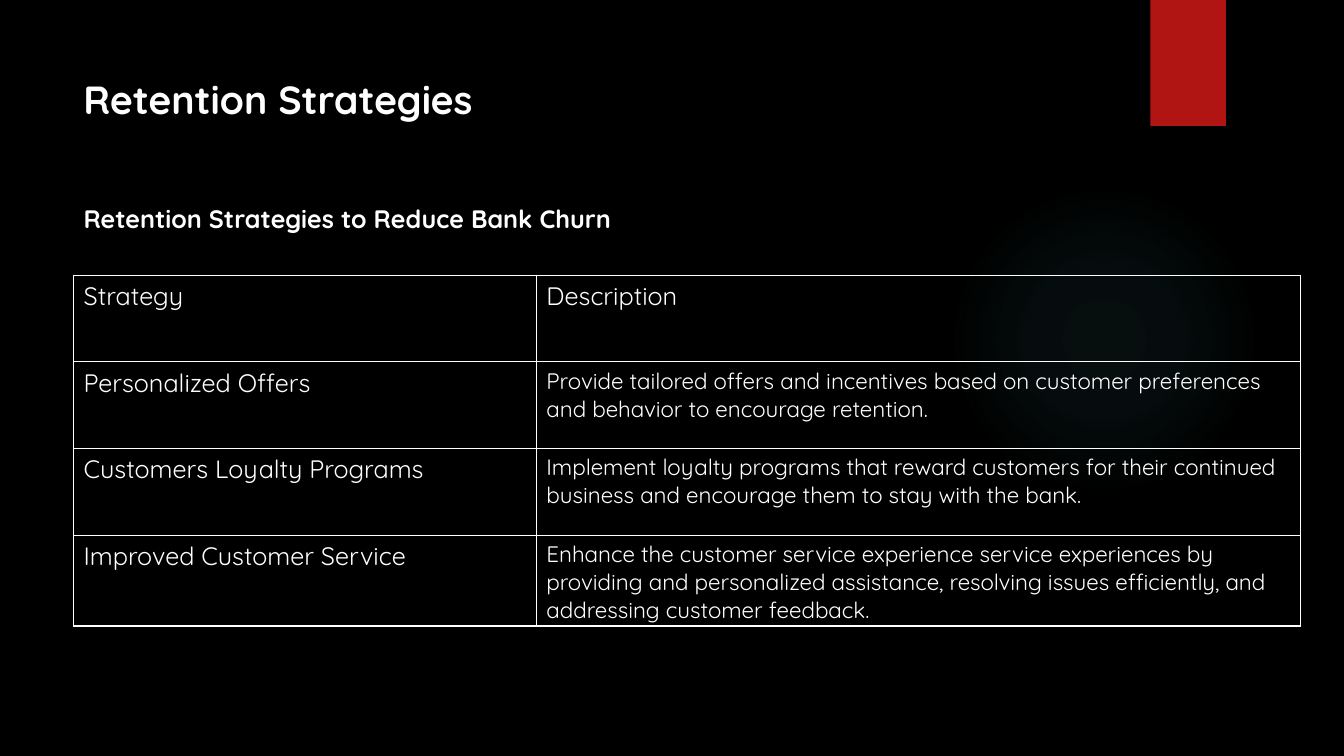
"""Build the Retention Strategies slide."""
from lxml.etree import SubElement
from pptx import Presentation
from pptx.dml.color import RGBColor
from pptx.enum.shapes import MSO_SHAPE
from pptx.oxml import parse_xml
from pptx.oxml.ns import nsdecls, qn
from pptx.util import Inches, Pt

FONT = "Quicksand"
COLORS = {"background": "000000", "text": "FFFFFF", "ribbon": "B01513", "glow": "50B9C1"}
HEADINGS = [
    ("Retention Strategies", 28, (0.73, 0.7, 11.43, 0.57)),
    ("Retention Strategies to Reduce Bank Churn", 18, (0.73, 1.97, 6.22, 0.4)),
]
STRATEGIES = [
    ("Strategy", "Description"),
    ("Personalized Offers",
     "Provide tailored offers and incentives based on customer preferences "
     "and behavior to encourage retention."),
    ("Customers Loyalty Programs",
     "Implement loyalty programs that reward customers for their continued "
     "business and encourage them to stay with the bank."),
    ("Improved Customer Service",
     "Enhance the customer service experience service experiences by "
     "providing and personalized assistance, resolving issues efficiently, and "
     "addressing customer feedback."),
]
COLUMN_WIDTHS = [4.59, 7.58]
ROW_HEIGHT = 0.86
GLOW_STOPS = [(0, 7), (36, 6), (69, 0)]


def color(name):
    return RGBColor.from_string(COLORS[name])


def style_text(text_frame, text, size, bold=False):
    text_frame.text = text
    paragraph = text_frame.paragraphs[0]
    paragraph.font.name = FONT
    paragraph.font.size = Pt(size)
    paragraph.font.bold = bold
    paragraph.font.color.rgb = color("text")


def add_plain_shape(slide, kind, box):
    shape = slide.shapes.add_shape(kind, *map(Inches, box))
    shape.shadow.inherit = False
    shape.line.fill.background()
    return shape


def add_glow(slide):
    glow = add_plain_shape(slide, MSO_SHAPE.OVAL, (9.41, 1.83, 3.08, 3.08))
    glow.fill.background()
    stops = "".join(
        f'<a:gs pos="{position * 1000}"><a:srgbClr val="{COLORS["glow"]}">'
        f'<a:alpha val="{alpha * 1000}"/></a:srgbClr></a:gs>'
        for position, alpha in GLOW_STOPS
    )
    gradient = parse_xml(
        f'<a:gradFill {nsdecls("a")}><a:gsLst>{stops}</a:gsLst><a:path path="circle">'
        '<a:fillToRect l="50000" t="50000" r="50000" b="50000"/></a:path></a:gradFill>'
    )
    properties = glow._element.spPr
    properties.replace(properties.find(qn("a:noFill")), gradient)


def add_borders(cell):
    properties = cell._tc.get_or_add_tcPr()
    for index, side in enumerate(("lnL", "lnR", "lnT", "lnB")):
        line = parse_xml(f'<a:{side} {nsdecls("a")} w="{Pt(1)}"/>')
        fill = SubElement(line, qn("a:solidFill"))
        SubElement(fill, qn("a:srgbClr"), val=COLORS["text"])
        properties.insert(index, line)


def add_strategy_table(slide):
    height = ROW_HEIGHT * len(STRATEGIES)
    frame = slide.shapes.add_table(
        len(STRATEGIES), len(COLUMN_WIDTHS),
        Inches(0.73), Inches(2.73), Inches(sum(COLUMN_WIDTHS)), Inches(height))
    table = frame.table
    table.first_row = False
    table.horz_banding = False
    for column, width in zip(table.columns, COLUMN_WIDTHS):
        column.width = Inches(width)
    for row_index, texts in enumerate(STRATEGIES):
        table.rows[row_index].height = Inches(ROW_HEIGHT)
        for column_index, text in enumerate(texts):
            cell = table.cell(row_index, column_index)
            cell.fill.background()
            style_text(cell.text_frame, text, 16 if row_index and column_index else 18)
            add_borders(cell)


def main():
    presentation = Presentation()
    presentation.slide_width = Inches(13.33)
    presentation.slide_height = Inches(7.5)
    slide = presentation.slides.add_slide(presentation.slide_layouts[6])
    slide.background.fill.solid()
    slide.background.fill.fore_color.rgb = color("background")
    add_glow(slide)
    ribbon = add_plain_shape(slide, MSO_SHAPE.RECTANGLE, (11.41, 0, 0.75, 1.25))
    ribbon.fill.solid()
    ribbon.fill.fore_color.rgb = color("ribbon")
    for text, size, box in HEADINGS:
        text_box = slide.shapes.add_textbox(*map(Inches, box))
        text_box.text_frame.word_wrap = True
        style_text(text_box.text_frame, text, size, bold=True)
    add_strategy_table(slide)
    presentation.save("out.pptx")


if __name__ == "__main__":
    main()
